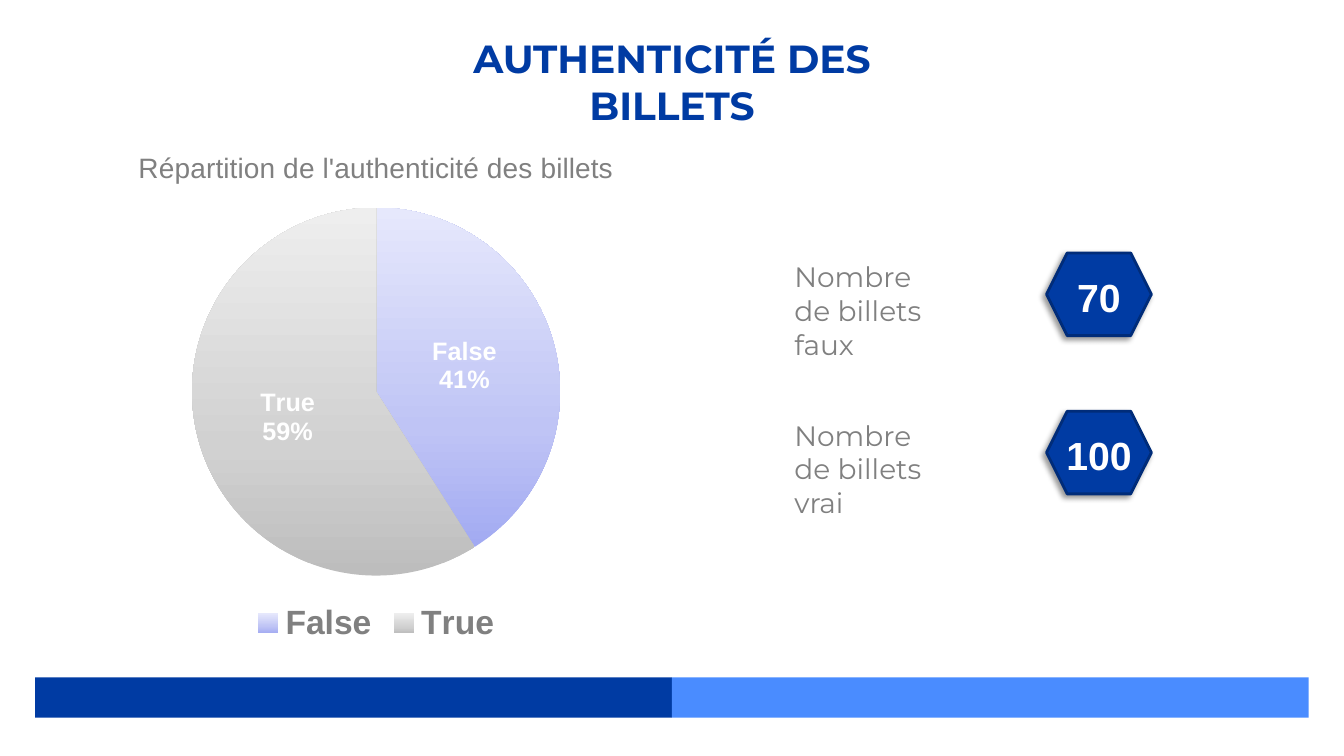
from lxml import etree
from pptx import Presentation
from pptx.chart.data import CategoryChartData
from pptx.dml.color import RGBColor
from pptx.enum.chart import XL_CHART_TYPE, XL_LABEL_POSITION, XL_LEGEND_POSITION
from pptx.enum.shapes import MSO_SHAPE
from pptx.enum.text import MSO_ANCHOR, PP_ALIGN
from pptx.oxml import parse_xml
from pptx.oxml.ns import nsdecls, qn
from pptx.util import Inches, Pt

RECT, HEXAGON = MSO_SHAPE.RECTANGLE, MSO_SHAPE.HEXAGON
PIE, CENTER_LABEL, BOTTOM = XL_CHART_TYPE.PIE, XL_LABEL_POSITION.CENTER, XL_LEGEND_POSITION.BOTTOM
MIDDLE, CENTER = MSO_ANCHOR.MIDDLE, PP_ALIGN.CENTER

# Content
TITLE = "AUTHENTICITÉ DES BILLETS"
CHART_TITLE = "Répartition de l'authenticité des billets"
SHARES = {"False": 41, "True": 59}
COUNTS = [("Nombre de billets faux", "70"), ("Nombre de billets vrai", "100")]

# Theme
NAVY, NAVY_EDGE, SKY, GREY, WHITE = "003BA3", "002C79", "4A8CFF", "808080", "FFFFFF"
THEME = {
    "title": dict(name="Montserrat", size=28, bold=True, color=NAVY),
    "caption": dict(name="Montserrat", size=20, bold=False, color=GREY),
    "count": dict(name="Arial", size=28, bold=True, color=WHITE),
    "chart_title": dict(name="Arial", size=20, bold=False, color=GREY),
    "legend": dict(name="Arial", size=24, bold=True, color=GREY),
    "label": dict(name="Arial", size=18, bold=True, color=WHITE),
    "bars": [NAVY, SKY],
    "slices": [["A2AAF2", "BFC4F5", "E6E8FC"], ["BDBDBD", "D1D1D1", "EEEEEE"]],
}
STOPS = [0, 35, 100]

# Layout, in inches
SLIDE_W, SLIDE_H = 13.33, 7.5
MARGIN, BAR_TOP, BAR_H = 0.35, 6.72, 0.4
CHART_BOX = (0.47, 1.28, 6.52, 5.16)
PIE_AREA = dict(x=0.22, y=0.15, w=0.56, h=0.71)
FIRST_ROW, ROW_STEP = 2.51, 1.57


def box(x, y, w, h):
    return [Inches(v) for v in (x, y, w, h)]


def style(font, look):
    for key, value in look.items():
        if key == "color":
            font.color.rgb = RGBColor.from_string(value)
        else:
            setattr(font, key, Pt(value) if key == "size" else value)


def write(shape, text, look, align=None, **frame):
    tf = shape.text_frame
    for key, value in frame.items():
        setattr(tf, key, value)
    p = tf.paragraphs[0]
    p.alignment = align
    r = p.add_run()
    r.text = text
    style(r.font, THEME[look])


def add_filled(s, kind, place, color):
    sp = s.shapes.add_shape(kind, *box(*place))
    sp.shadow.inherit = False
    sp.fill.solid()
    sp.fill.fore_color.rgb = RGBColor.from_string(color)
    sp.line.fill.background()
    return sp


def add_badge(s, top, number):
    sp = add_filled(s, HEXAGON, (10.38, top, 1.04, 0.82), NAVY)
    sp.line.color.rgb = RGBColor.from_string(NAVY_EDGE)
    sp.line.width = Pt(2)
    sp._element.spPr.find(qn("a:effectLst")).append(parse_xml(
        f'<a:outerShdw {nsdecls("a")} blurRad="{Pt(4)}" dist="{Pt(3)}" dir="8100000" '
        'rotWithShape="0"><a:srgbClr val="000000"><a:alpha val="40000"/></a:srgbClr></a:outerShdw>'))
    write(sp, number, "count", CENTER, word_wrap=False, vertical_anchor=MIDDLE,
          margin_left=0, margin_right=0, margin_top=Inches(0.05), margin_bottom=0)


def gradient(colors):
    """Gradient that runs from the bottom of a slice to its top."""
    stops = "".join(f'<a:gs pos="{pos * 1000}"><a:srgbClr val="{color}"/></a:gs>'
                    for pos, color in zip(STOPS, colors))
    return parse_xml(f'<a:gradFill {nsdecls("a")} rotWithShape="1"><a:gsLst>{stops}</a:gsLst>'
                     '<a:lin ang="16200000" scaled="0"/></a:gradFill>')


def add_pie(s):
    data = CategoryChartData()
    data.categories = list(SHARES)
    data.add_series(CHART_TITLE, list(SHARES.values()))
    chart = s.shapes.add_chart(PIE, *box(*CHART_BOX), data).chart

    chart.has_title = True
    p = chart.chart_title.text_frame.paragraphs[0]
    r = p.add_run()
    r.text = CHART_TITLE
    style(r.font, THEME["chart_title"])
    chart.has_legend = True
    chart.legend.position = BOTTOM
    chart.legend.include_in_layout = False
    style(chart.legend.font, THEME["legend"])

    plot = chart.plots[0]
    plot.vary_by_categories = True
    series = plot.series[0]
    for i, colors in enumerate(THEME["slices"]):
        point = series.points[i]
        point.format.fill.gradient()
        point.format.line.fill.background()
        old = series._element.findall(".//" + qn("a:gradFill"))[i]
        old.getparent().replace(old, gradient(colors))

    labels = series.data_labels
    for key in ("show_category_name", "show_percentage"):
        setattr(labels, key, True)
    labels.show_value = False
    labels.position = CENTER_LABEL
    style(labels.font, THEME["label"])
    separator = etree.Element(qn("c:separator"))
    separator.text = "\n"
    labels._element.find(qn("c:showBubbleSize")).addnext(separator)

    area = chart._chartSpace.find(".//" + qn("c:plotArea"))
    for old in area.findall(qn("c:layout")):
        area.remove(old)
    modes = "".join(f'<c:{k}Mode val="edge"/>' for k in "xy")
    sizes = "".join(f'<c:{k} val="{v}"/>' for k, v in PIE_AREA.items())
    area.insert(0, parse_xml(f'<c:layout {nsdecls("c")}><c:manualLayout>'
                             f'<c:layoutTarget val="inner"/>{modes}{sizes}'
                             '</c:manualLayout></c:layout>'))


def main():
    prs = Presentation()
    prs.slide_width, prs.slide_height = Inches(SLIDE_W), Inches(SLIDE_H)
    s = prs.slides.add_slide(prs.slide_layouts[5])

    bar_w = SLIDE_W / 2 - MARGIN
    for i, color in enumerate(THEME["bars"]):
        add_filled(s, RECT, (MARGIN + i * bar_w, BAR_TOP, bar_w, BAR_H), color)

    title = s.shapes.title
    title.left, title.top, title.width, title.height = box(4.27, 0.47, 4.79, 0.68)
    inset = Inches(0.1)
    write(title, TITLE, "title", CENTER, word_wrap=True, vertical_anchor=MIDDLE,
          margin_left=inset, margin_right=inset, margin_top=inset, margin_bottom=inset)

    add_pie(s)
    for i, (caption, number) in enumerate(COUNTS):
        top = FIRST_ROW + i * ROW_STEP
        tb = s.shapes.add_textbox(*box(7.78, top + 0.02, 1.59, 0.77))
        write(tb, caption, "caption", word_wrap=True)
        add_badge(s, top, number)

    prs.save("out.pptx")


if __name__ == "__main__":
    main()
